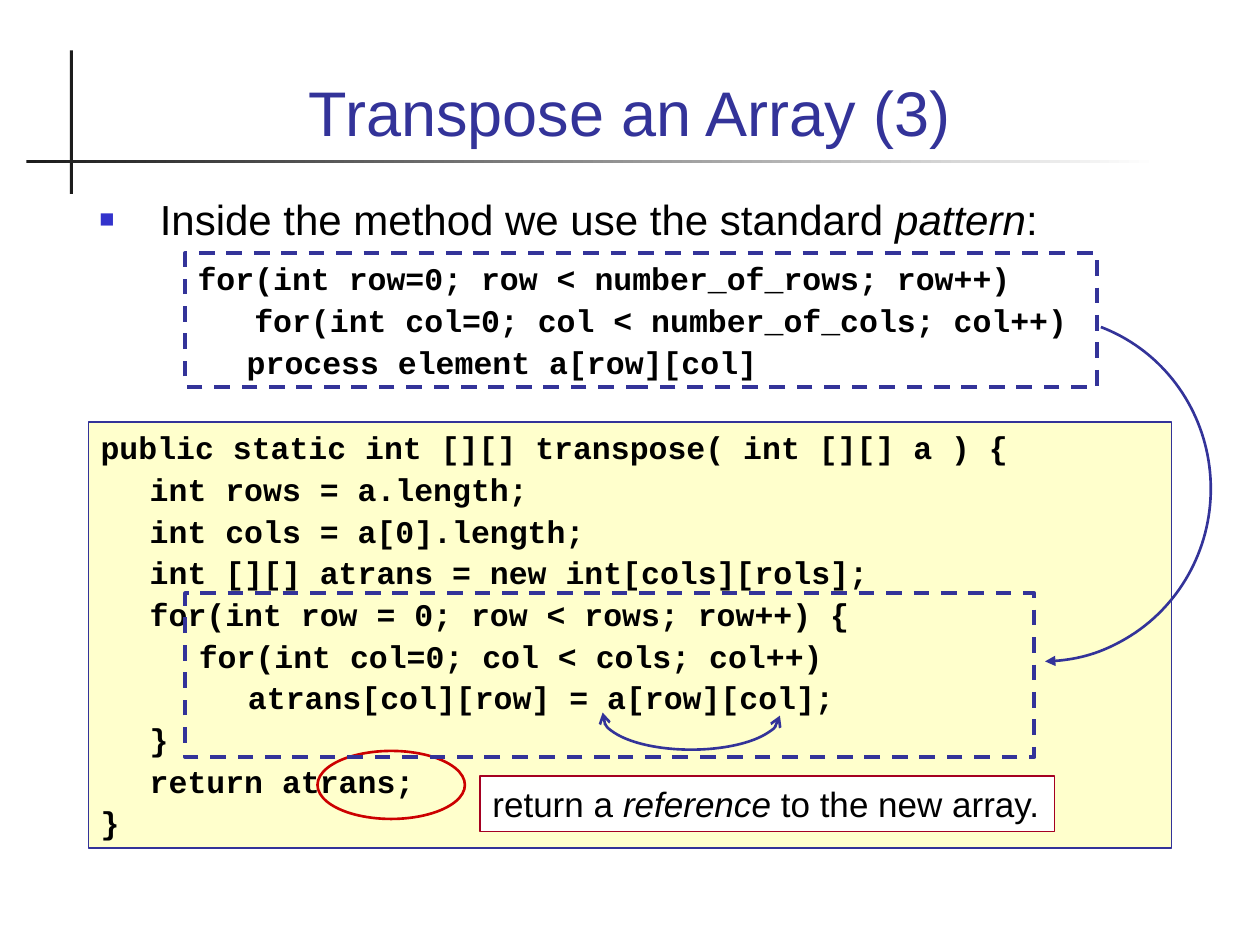
from pptx import Presentation
from pptx.dml.color import RGBColor
from pptx.enum.dml import MSO_LINE
from pptx.enum.shapes import MSO_SHAPE
from pptx.enum.text import MSO_ANCHOR, PP_ALIGN
from pptx.oxml import parse_xml
from pptx.oxml.ns import nsdecls
from pptx.util import Inches, Pt

RECT, OVAL, ARC = MSO_SHAPE.RECTANGLE, MSO_SHAPE.OVAL, MSO_SHAPE.ARC
TOP, BOTTOM = MSO_ANCHOR.TOP, MSO_ANCHOR.BOTTOM
LEFT, CENTER = PP_ALIGN.LEFT, PP_ALIGN.CENTER
DASH = MSO_LINE.DASH

THEME = {
    "navy": "333399", "bullet": "3333CC", "rule": "1C1C1C", "white": "FFFFFF",
    "ink": "000000", "code_fill": "FFFFCC", "red": "CC0000", "crimson": "A50021",
    "sans": "Arial", "mono": "Courier New",
    "title": 36, "body": 24, "note": 20, "code": 18, "code_gap": 2.2,
}

# Grid of 100 columns by 75 rows
prs = Presentation()
prs.slide_width, prs.slide_height = Inches(10), Inches(7.5)
COL, ROW = prs.slide_width / 100, prs.slide_height / 75
slide = prs.slides.add_slide(prs.slide_layouts[6])
shapes = slide.shapes
TAB = Inches(0.39)


def add_box(kind, frame, fill=None, line=None, width=0.75):
    """Add a shape at (column, row, columns, rows)."""
    x, y, w, h = frame
    s = shapes.add_shape(kind, int(x * COL), int(y * ROW), int(w * COL), int(h * ROW))
    s.shadow.inherit = False
    if fill:
        s.fill.solid()
        s.fill.fore_color.rgb = RGBColor.from_string(THEME[fill])
    else:
        s.fill.background()
    if line:
        s.line.color.rgb = RGBColor.from_string(THEME[line])
        s.line.width = Pt(width)
    else:
        s.line.fill.background()
    return s


def add_text(s, lines, font, size, color="ink", bold=False, wrap=True,
             align=LEFT, anchor=TOP, gap=0):
    """Write lines of (text, italic) runs; tabs stand at equal steps."""
    tf = s.text_frame
    tf.word_wrap, tf.vertical_anchor = wrap, anchor
    for i, line in enumerate(lines):
        p = tf.paragraphs[0] if i == 0 else tf.add_paragraph()
        p.alignment = align
        if i:
            p.space_before = Pt(gap)
        if any("\t" in text for text, _ in line):
            stops = "".join(f'<a:tab pos="{TAB * n}" algn="l"/>' for n in range(1, 8))
            p._p.get_or_add_pPr().append(
                parse_xml(f'<a:tabLst {nsdecls("a")}>{stops}</a:tabLst>'))
        for text, italic in line:
            r = p.add_run()
            r.text = text
            r.font.name, r.font.size = THEME[font], Pt(THEME[size])
            r.font.bold, r.font.italic = bold, italic
            r.font.color.rgb = RGBColor.from_string(THEME[color])
    return tf


# Crossed rules beside the title
add_box(RECT, (5.55, 4, 0.24, 11.4), "rule")
s = add_box(RECT, (2.1, 12.7, 89.9, 0.2))
s.fill.gradient()
s.fill.gradient_angle = 0
for stop, name in zip(s.fill.gradient_stops, ("rule", "white")):
    stop.color.rgb = RGBColor.from_string(THEME[name])

# Title
s = shapes.add_textbox(int(6.7 * COL), int(2.8 * ROW), int(86.6 * COL), int(9.5 * ROW))
add_text(s, [[("Transpose an Array (3)", False)]], "sans", "title", "navy",
         align=CENTER, anchor=BOTTOM)

# Bulleted statement
s = shapes.add_textbox(int(6.9 * COL), int(14.9 * ROW), int(86.3 * COL), int(5.4 * ROW))
tf = add_text(s, [[("Inside the method we use the standard ", False),
                   ("pattern", True), (":", False)]], "sans", "body")
pPr = tf.paragraphs[0]._p.get_or_add_pPr()
pPr.set("marL", str(Inches(0.48)))
pPr.set("indent", str(-Inches(0.48)))
for xml in (f'<a:buClr {nsdecls("a")}><a:srgbClr val="{THEME["bullet"]}"/></a:buClr>',
            f'<a:buSzPct {nsdecls("a")} val="60000"/>',
            f'<a:buFont {nsdecls("a")} typeface="{THEME["sans"]}"/>',
            f'<a:buChar {nsdecls("a")} char="■"/>'):
    pPr.append(parse_xml(xml))

# Code: the method, then the general pattern
METHOD = [
    "public static int [][] transpose( int [][] a ) {",
    "\tint rows = a.length;",
    "\tint cols = a[0].length;",
    "\tint [][] atrans = new int[cols][rols];",
    "\tfor(int row = 0; row < rows; row++) {",
    "\t\tfor(int col=0; col < cols; col++)",
    "\t\t\tatrans[col][row] = a[row][col];",
    "\t}",
    "\treturn atrans;",
    "}",
]
PATTERN = [
    "for(int row=0; row < number_of_rows; row++)",
    "   for(int col=0; col < number_of_cols; col++)",
    "\tprocess element a[row][col]",
]
method = add_box(RECT, (7, 33.5, 86, 33.8), "code_fill", "navy")
pattern = add_box(RECT, (14.7, 20.1, 72.4, 10.6), line="navy", width=2.25)
pattern.line.dash_style = DASH
for s, code in ((method, METHOD), (pattern, PATTERN)):
    add_text(s, [[(line, False)] for line in code], "mono", "code", bold=True,
             gap=THEME["code_gap"])

# Marked return value and its note
add_box(OVAL, (25.2, 59.6, 11.7, 5.4), line="red", width=1.5)
s = add_box(RECT, (38.1, 61.6, 45.6, 4.4), "white", "crimson")
add_text(s, [[("return a ", False), ("reference", True), (" to the new array.", False)]],
         "sans", "note", wrap=False)

# Marked loops inside the method
s = add_box(RECT, (14.7, 47.1, 67.4, 13), line="navy", width=2.25)
s.line.dash_style = DASH

# Curved arrows: frame, start and end in degrees, arrowheads
ARROWS = [
    ((69.3, 25.1, 26.8, 27.4), 290, 89, {"tailEnd": "triangle"}),
    ((47.8, 54.1, 14.1, 5.4), 0, 182, {"headEnd": "arrow", "tailEnd": "arrow"}),
]
for frame, start, end, heads in ARROWS:
    s = add_box(ARC, frame, line="navy", width=1.5)
    for i, degrees in enumerate((start, end)):
        s.adjustments[i] = degrees * 0.6  # 60000 units a degree, scaled by 100000
    for tag, kind in heads.items():
        s.line._get_or_add_ln().append(
            parse_xml(f'<a:{tag} {nsdecls("a")} type="{kind}"/>'))

prs.save("out.pptx")
